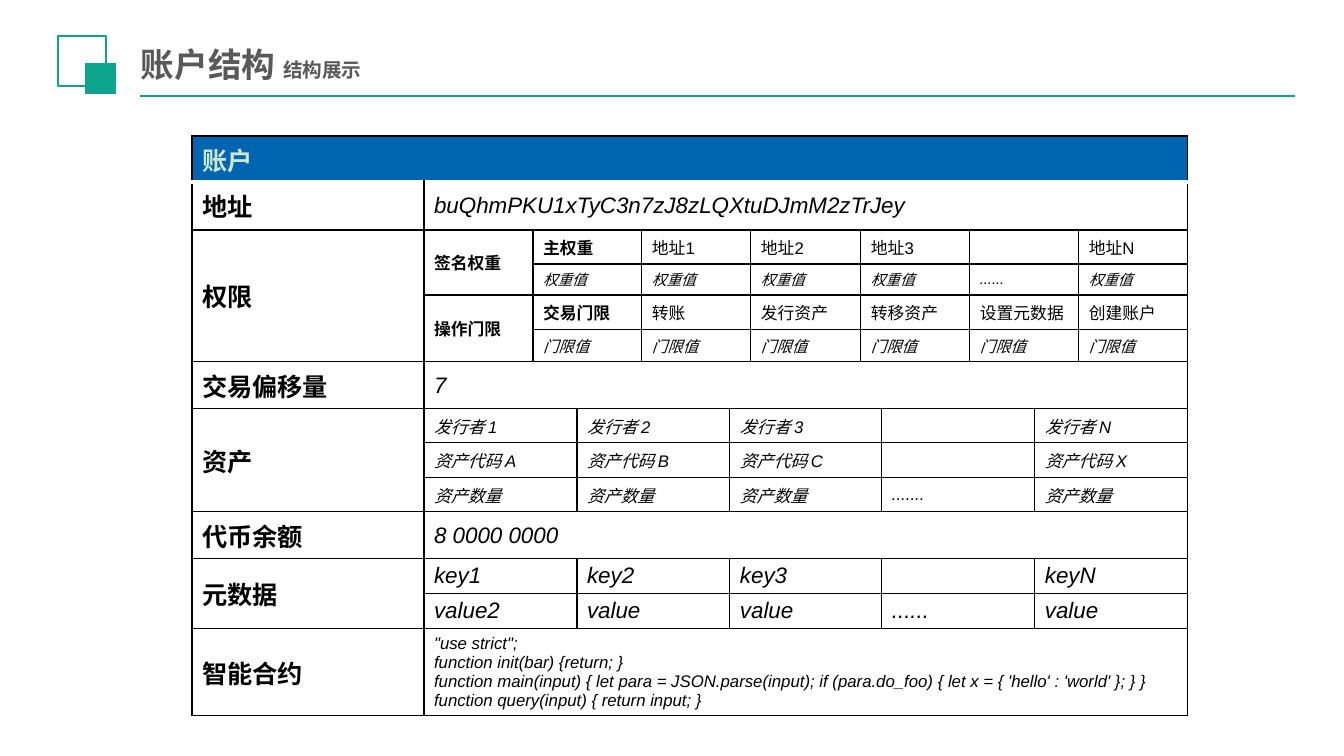
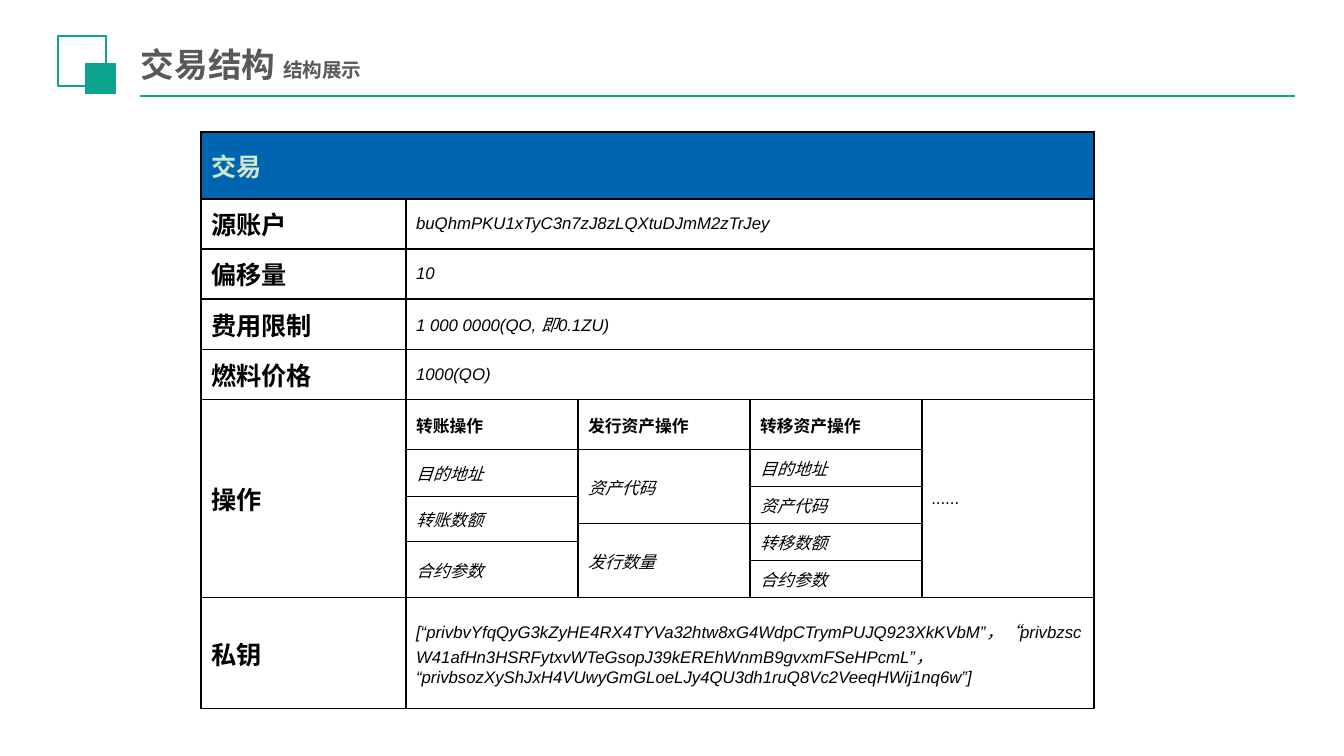
"""Build two slides that show the structure of an account and of a transaction."""
from dataclasses import dataclass
from typing import NamedTuple

from lxml.etree import SubElement
from pptx import Presentation
from pptx.dml.color import RGBColor as RGB
from pptx.enum.shapes import MSO_CONNECTOR as CONN, MSO_SHAPE as SHAPE
from pptx.enum.text import MSO_ANCHOR as ANCHOR
from pptx.oxml import parse_xml
from pptx.oxml.ns import nsdecls, qn
from pptx.util import Emu, Pt

COLORS = {"paper": "FFFFFF", "teal": "0CA48D", "title": "595959",
          "blue": "0065B0", "mint": "CCE8CF", "ink": "000000"}
CJK = "Noto Sans CJK SC"
SCALE = 914400 / 100.8


@dataclass(frozen=True)
class Style:
    size: float
    bold: bool = False
    italic: bool = False
    color: str = "ink"
    font: str = "Arial"


class Cell(NamedTuple):
    row: int
    col: int
    text: str
    style: Style
    rows: int = 1
    cols: int = 1
    fill: str = "paper"


class Grid(NamedTuple):
    left: int
    top: int
    widths: list[int]
    heights: list[int]
    cells: list[Cell]
    header_rule: tuple[str, float] = ("ink", 1)


class Page(NamedTuple):
    title: str
    grid: Grid


TITLE = Style(24, bold=True, color="title", font=CJK)
SUBTITLE = Style(14, bold=True, color="title", font=CJK)
HEADER = Style(18, bold=True, color="mint")
LABEL = Style(18, bold=True)
HEAD = Style(12, bold=True)
PLAIN = Style(12)
VALUE = Style(12, italic=True)
BIG = Style(16, italic=True)
WEIGHT = Style(10.5, italic=True)
LIMIT = Style(11, italic=True)


def px(n: float) -> Emu:
    return Emu(round(n * SCALE))


def rgb(name: str) -> RGB:
    return RGB.from_string(COLORS[name])


def add_run(p, text: str, style: Style) -> None:
    r = p.add_run()
    r.text = text
    f = r.font
    f.size, f.bold, f.italic, f.name = Pt(style.size), style.bold, style.italic, style.font
    f.color.rgb = rgb(style.color)
    SubElement(r._r.get_or_add_rPr(), qn("a:ea"), typeface=CJK)


def add_square(s, box: tuple[int, int, int, int], fill: str, line: bool) -> None:
    sp = s.shapes.add_shape(SHAPE.RECTANGLE, *map(px, box))
    sp.shadow.inherit = False
    sp.fill.solid()
    sp.fill.fore_color.rgb = rgb(fill)
    if line:
        sp.line.color.rgb = rgb("teal")
        sp.line.width = Pt(1.5)
    else:
        sp.line.fill.background()


def add_heading(s, title: str) -> None:
    rule = s.shapes.add_connector(CONN.STRAIGHT, px(140), px(96), px(1295), px(96))
    rule.line.color.rgb = rgb("teal")
    rule.line.width = Pt(1.25)
    SubElement(rule._element.spPr, qn("a:effectLst"))
    add_square(s, (58, 36, 48, 50), "paper", True)
    add_square(s, (85, 63, 31, 31), "teal", False)
    tf = s.shapes.add_textbox(px(134), px(40), px(867), px(48)).text_frame
    tf.word_wrap = True
    tf.vertical_anchor = ANCHOR.MIDDLE
    tf.margin_left = tf.margin_right = px(7)
    tf.margin_top = tf.margin_bottom = px(4)
    p = tf.paragraphs[0]
    add_run(p, title + " ", TITLE)
    add_run(p, "结构展示", SUBTITLE)


def set_borders(cell, sides: dict[str, tuple[str, float]]) -> None:
    tc_pr = cell._tc.get_or_add_tcPr()
    for i, (side, (color, width)) in enumerate(sides.items()):
        tc_pr.insert(i, parse_xml(
            f'<a:ln{side} {nsdecls("a")} w="{Pt(width)}"><a:solidFill>'
            f'<a:srgbClr val="{COLORS[color]}"/></a:solidFill></a:ln{side}>'))


def fill_cell(cell, text: str, style: Style) -> None:
    cell.vertical_anchor = ANCHOR.MIDDLE
    cell.margin_top = cell.margin_bottom = px(3)
    tf = cell.text_frame
    for i, line in enumerate(text.split("\n")):
        p = tf.add_paragraph() if i else tf.paragraphs[0]
        if line:
            add_run(p, line, style)
        else:
            SubElement(p._p, qn("a:endParaRPr"), sz=str(round(style.size * 100)))


def add_grid(s, grid: Grid) -> None:
    n_rows, n_cols = len(grid.heights), len(grid.widths)
    table = s.shapes.add_table(n_rows, n_cols, px(grid.left), px(grid.top),
                               px(sum(grid.widths)), px(sum(grid.heights))).table
    table.first_row = table.horz_banding = False
    for column, width in zip(table.columns, grid.widths):
        column.width = px(width)
    for row, height in zip(table.rows, grid.heights):
        row.height = px(height)
    for c in grid.cells:
        origin = table.cell(c.row, c.col)
        if c.rows * c.cols > 1:
            origin.merge(table.cell(c.row + c.rows - 1, c.col + c.cols - 1))
        fill_cell(origin, c.text, c.style)
        for i in range(c.row, c.row + c.rows):
            for j in range(c.col, c.col + c.cols):
                cell = table.cell(i, j)
                cell.fill.solid()
                cell.fill.fore_color.rgb = rgb(c.fill)
                sides = dict.fromkeys("LRTB", ("ink", 1))
                if i < 2:
                    sides["B" if i == 0 else "T"] = grid.header_rule
                set_borders(cell, sides)


def strip(row: int, col: int, texts: list[str], spans: tuple[int, ...], style: Style) -> list[Cell]:
    return [Cell(row, col + sum(spans[:i]), text, style, cols=span)
            for i, (text, span) in enumerate(zip(texts, spans))]


def stack(row: int, col: int, texts: list[str], spans: tuple[int, ...], style: Style) -> list[Cell]:
    return [Cell(row + sum(spans[:i]), col, text, style, rows=span)
            for i, (text, span) in enumerate(zip(texts, spans))]


def field(row: int, label: str, value: str, style: Style, cols: int) -> list[Cell]:
    return [Cell(row, 0, label, LABEL), Cell(row, 1, value, style, cols=cols)]


def account_grid() -> Grid:
    body = 764
    edges = sorted({round(body * i / n) for n in (5, 7) for i in range(n + 1)})
    widths = [232] + [b - a for a, b in zip(edges, edges[1:])]
    sixths, fifths = (2, 2, 1, 2, 2, 1), (2, 2, 3, 2, 2)
    contract = "\n".join([
        '"use strict"; ',
        "function init(bar) {return; } ",
        "function main(input) { let para = JSON.parse(input); "
        "if (para.do_foo) { let x = { 'hello' : 'world' }; } }",
        "function query(input) { return input; }"])
    cells = [
        Cell(0, 0, "账户", HEADER, cols=12, fill="blue"),
        *field(1, "地址", "buQhmPKU1xTyC3n7zJ8zLQXtuDJmM2zTrJey", BIG, 11),
        Cell(2, 0, "权限", LABEL, rows=4),
        *stack(2, 1, ["签名权重", "操作门限"], (2, 2), HEAD),
        *strip(2, 2, ["主权重"], (2,), HEAD),
        *strip(2, 4, ["地址1", "地址2", "地址3", "", "地址N"], sixths[1:], PLAIN),
        *strip(3, 2, ["权重值"] * 4 + ["......", "权重值"], sixths, WEIGHT),
        *strip(4, 2, ["交易门限"], (2,), HEAD),
        *strip(4, 4, ["转账", "发行资产", "转移资产", "设置元数据", "创建账户"], sixths[1:], PLAIN),
        *strip(5, 2, ["门限值"] * 6, sixths, LIMIT),
        *field(6, "交易偏移量", "7", BIG, 11),
        Cell(7, 0, "资产", LABEL, rows=3),
        *strip(7, 1, ["发行者 1", "发行者 2", "发行者 3", "", "发行者 N"], fifths, VALUE),
        *strip(8, 1, ["资产代码 A", "资产代码 B", "资产代码 C", "", "资产代码 X"], fifths, VALUE),
        *strip(9, 1, ["资产数量"] * 3 + [".......", "资产数量"], fifths, VALUE),
        *field(10, "代币余额", "8 0000 0000", BIG, 11),
        Cell(11, 0, "元数据", LABEL, rows=2),
        *strip(11, 1, ["key1", "key2", "key3", "", "keyN"], fifths, BIG),
        *strip(12, 1, ["value2", "value", "value", "......", "value"], fifths, BIG),
        *field(13, "智能合约", contract, VALUE, 11),
    ]
    heights = [46, 48, 34, 31, 35, 32, 47, 34, 35, 34, 47, 35, 35, 85]
    return Grid(192, 136, widths, heights, cells, ("paper", 3))


def transaction_grid() -> Grid:
    keys = ("[“privbvYfqQyG3kZyHE4RX4TYVa32htw8xG4WdpCTrymPUJQ923XkKVbM”，"
            "“privbzscW41afHn3HSRFytxvWTeGsopJ39kEREhWnmB9gvxmFSeHPcmL”，\n"
            "“privbsozXyShJxH4VUwyGmGLoeLJy4QU3dh1ruQ8Vc2VeeqHWij1nq6w”]")
    cells = [
        Cell(0, 0, "交易", HEADER, cols=5, fill="blue"),
        *field(1, "源账户", "buQhmPKU1xTyC3n7zJ8zLQXtuDJmM2zTrJey", VALUE, 4),
        *field(2, "偏移量", "10", VALUE, 4),
        *field(3, "费用限制", "1 000 0000(QO, 即0.1ZU)", VALUE, 4),
        *field(4, "燃料价格", "1000(QO)", VALUE, 4),
        Cell(5, 0, "操作", LABEL, rows=7),
        *strip(5, 1, ["转账操作", "发行资产操作", "转移资产操作"], (1, 1, 1), HEAD),
        *stack(6, 1, ["目的地址", "转账数额", "合约参数"], (2, 2, 2), VALUE),
        *stack(6, 2, ["资产代码", "发行数量"], (3, 3), VALUE),
        *stack(6, 3, ["目的地址", "资产代码", "转移数额", "合约参数"], (1, 2, 2, 1), VALUE),
        Cell(5, 4, "......", VALUE, rows=7),
        *field(12, "私钥", keys, VALUE, 4),
    ]
    heights = [67, 50, 50, 51, 50, 50, 37, 10, 27, 18, 19, 37, 111]
    return Grid(201, 132, [205] + [172] * 4, heights, cells)


def main() -> None:
    prs = Presentation()
    prs.slide_width, prs.slide_height = px(1344), px(756)
    for page in (Page("账户结构", account_grid()), Page("交易结构", transaction_grid())):
        s = prs.slides.add_slide(prs.slide_layouts[6])
        s.background.fill.solid()
        s.background.fill.fore_color.rgb = rgb("paper")
        add_heading(s, page.title)
        add_grid(s, page.grid)
    prs.save("out.pptx")


main()
